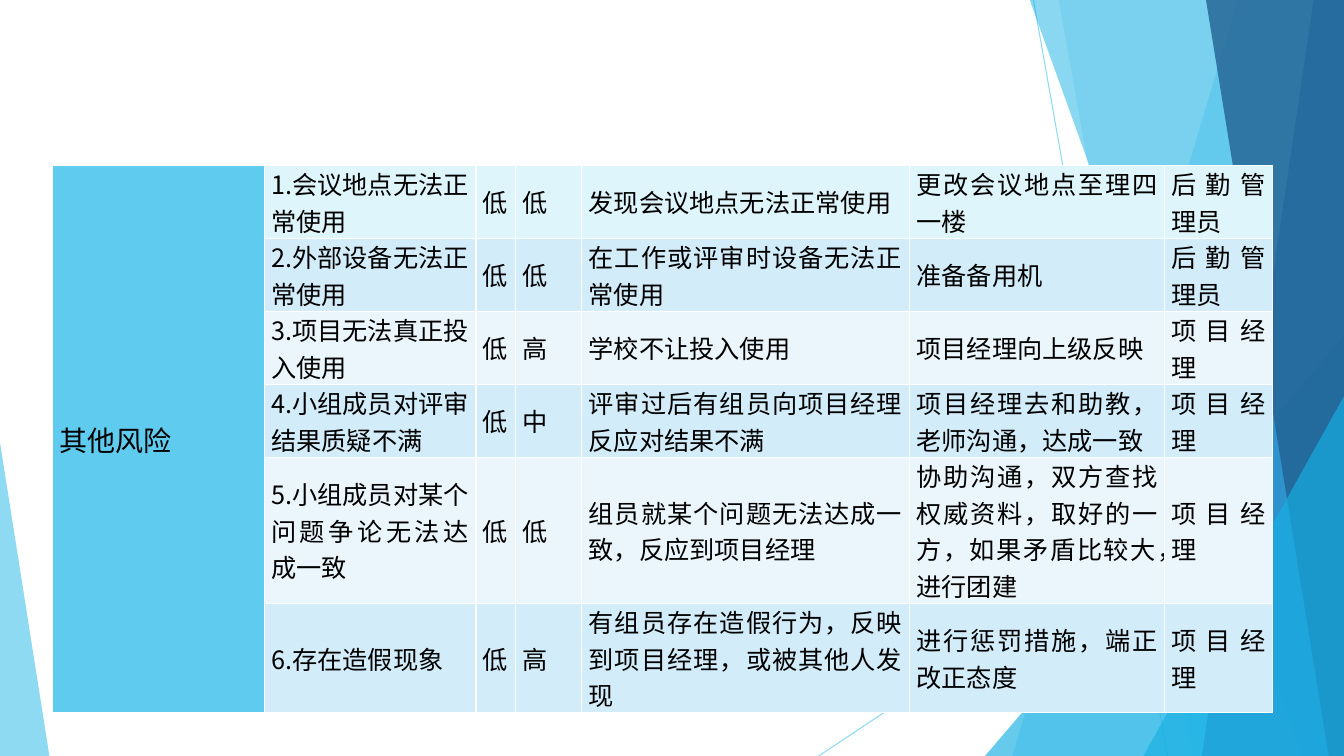
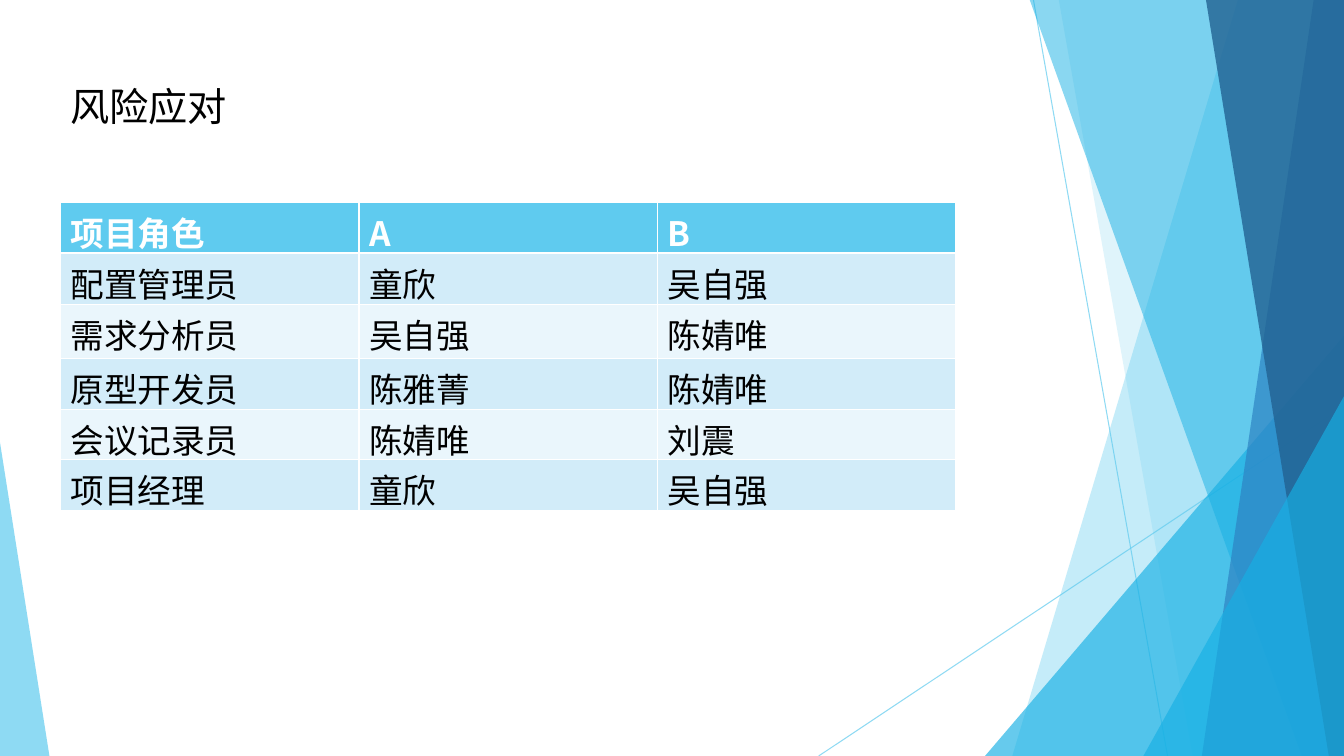
from lxml.etree import SubElement
from pptx import Presentation
from pptx.dml.color import RGBColor as Rgb
from pptx.enum.shapes import MSO_CONNECTOR as Link, MSO_SHAPE as Kind
from pptx.enum.text import MSO_ANCHOR as Anchor, PP_ALIGN as Align
from pptx.oxml.ns import qn
from pptx.util import Inches, Pt

WIDE, HIGH = 13.33, 7.5
FONT = "Noto Sans CJK SC"
HUES = {
    "sky": "5FCBEF", "cyan": "17B0E4", "blue": "2E83C3", "navy": "226292",
    "pale": "DFF5FC", "band": "D2ECF9", "light": "EAF6FC",
    "white": "FFFFFF", "black": "000000",
}

RAYS = [((10.25, 0), (11.58, HIGH)), ((WIDE, 4.03), (8.12, HIGH))]
SHARDS = [
    ("band", 12.28, 10.04, "sky", 36),
    ("band", 10.5, 11.83, "sky", 20),
    ("peak", (9.77, 3.33, 3.56, 4.17), 1, "cyan", 66),
    ("band", 10.21, 12.91, "cyan", 50),
    ("band", 13.03, 11.92, "blue", 70),
    ("band", 11.96, 13.18, "navy", 80),
    ("peak", (11.34, 3.93, 1.99, 3.57), 1, "cyan", 66),
    ("peak", (0, 4.39, 0.49, 3.11), 0, "sky", 70),
]

RISKS = [
    ("其他风险", "1.会议地点无法正常使用", "低", "低",
     "发现会议地点无法正常使用", "更改会议地点至理四一楼", "后勤管理员"),
    ("", "2.外部设备无法正常使用", "低", "低",
     "在工作或评审时设备无法正常使用", "准备备用机", "后勤管理员"),
    ("", "3.项目无法真正投入使用", "低", "高",
     "学校不让投入使用", "项目经理向上级反映", "项目经理"),
    ("", "4.小组成员对评审结果质疑不满", "低", "中",
     "评审过后有组员向项目经理反应对结果不满",
     "项目经理去和助教，老师沟通，达成一致", "项目经理"),
    ("", "5.小组成员对某个问题争论无法达成一致", "低", "低",
     "组员就某个问题无法达成一致，反应到项目经理",
     "协助沟通，双方查找权威资料，取好的一方，如果矛盾比较大，进行团建", "项目经理"),
    ("", "6.存在造假现象", "低", "高",
     "有组员存在造假行为，反映到项目经理，或被其他人发现",
     "进行惩罚措施，端正改正态度", "项目经理"),
]
ROLES = [
    ("项目角色", "A", "B"),
    ("配置管理员", "童欣", "吴自强"),
    ("需求分析员", "吴自强", "陈婧唯"),
    ("原型开发员", "陈雅菁", "陈婧唯"),
    ("会议记录员", "陈婧唯", "刘震"),
    ("项目经理", "童欣", "吴自强"),
]


def tint(hue):
    return Rgb.from_string(HUES[hue])


def fade(fill, alpha):
    color = fill._xPr.find(".//" + qn("a:srgbClr"))
    SubElement(color, qn("a:alpha"), val=str(alpha * 1000))


def style(para, size, hue="black", bold=False):
    font = para.font
    font.size, font.bold, font.name = Pt(size), bold, FONT
    font.color.rgb = tint(hue)
    SubElement(font._element, qn("a:ea"), typeface=FONT)


def ray(slide, start, end):
    line = slide.shapes.add_connector(Link.STRAIGHT, *map(Inches, start + end))
    line.line.width = Pt(0.75)
    line.line.color.rgb = tint("sky")
    fade(line.line.fill, 70)
    SubElement(line._element.spPr, qn("a:effectLst"))


def band(slide, top, foot):
    pen = slide.shapes.build_freeform(Inches(top), Inches(-0.01), 1.0)
    ends = [(WIDE, -0.01), (WIDE, HIGH), (foot, HIGH)]
    pen.add_line_segments([(Inches(x), Inches(y)) for x, y in ends])
    return pen.convert_to_shape()


def peak(slide, box, tip):
    shape = slide.shapes.add_shape(Kind.ISOSCELES_TRIANGLE, *map(Inches, box))
    shape.adjustments[0] = tip
    return shape


def decor(slide):
    for start, end in RAYS:
        ray(slide, start, end)
    for kind, first, second, hue, alpha in SHARDS:
        shape = (band if kind == "band" else peak)(slide, first, second)
        shape.shadow.inherit = False
        shape.line.fill.background()
        shape.fill.solid()
        shape.fill.fore_color.rgb = tint(hue)
        fade(shape.fill, alpha)


def title(slide, text, box):
    frame = slide.shapes.add_textbox(*map(Inches, box)).text_frame
    frame.word_wrap = True
    para = frame.paragraphs[0]
    para.text = text
    style(para, 28)


def grid(slide, left, top, cols, rows, data, head):
    box = map(Inches, (left, top, sum(cols), sum(rows)))
    table = slide.shapes.add_table(len(rows), len(cols), *box).table
    table.horz_banding = False
    for col, width in zip(table.columns, cols):
        col.width = Inches(width)
    for i, (row, height) in enumerate(zip(table.rows, rows)):
        row.height = Inches(height)
        for cell, text in zip(row.cells, data[i]):
            cell.text = text
            cell.fill.solid()
            hue = ("light", "band")[i % 2] if i else head
            cell.fill.fore_color.rgb = tint(hue)
    return table


def risks(slide, left, top):
    cols = [2.1, 2.1, 0.39, 0.66, 3.25, 2.53, 1.07]
    rows = [0.72] * 4 + [1.45, 1.08]
    table = grid(slide, left, top, cols, rows, RISKS, "pale")
    for cell in table.iter_cells():
        cell.vertical_anchor = Anchor.MIDDLE
        cell.margin_left = cell.margin_right = Inches(0.07)
        cell.margin_top = cell.margin_bottom = 0
        para = cell.text_frame.paragraphs[0]
        para.alignment = Align.JUSTIFY
        style(para, 18)
    group = table.cell(0, 0)
    group.merge(table.cell(len(rows) - 1, 0))
    group.fill.fore_color.rgb = tint("sky")
    group.text_frame.paragraphs[0].font.size = Pt(20)


def roles(slide, left, top):
    rows = [0.5, 0.51, 0.54, 0.5, 0.5, 0.5]
    table = grid(slide, left, top, [2.96] * 3, rows, ROLES, "sky")
    for i, row in enumerate(table.rows):
        for cell in row.cells:
            hue = "black" if i else "white"
            style(cell.text_frame.paragraphs[0], 24, hue, i == 0)


def main():
    deck = Presentation()
    deck.slide_width, deck.slide_height = Inches(WIDE), Inches(HIGH)
    blank = deck.slide_layouts[6]
    first, second = [deck.slides.add_slide(blank) for _ in range(2)]
    decor(first)
    risks(first, 0.52, 1.64)
    decor(second)
    title(second, "风险应对", (0.6, 0.77, 2.74, 0.57))
    roles(second, 0.6, 2.01)
    deck.save("out.pptx")


if __name__ == "__main__":
    main()
